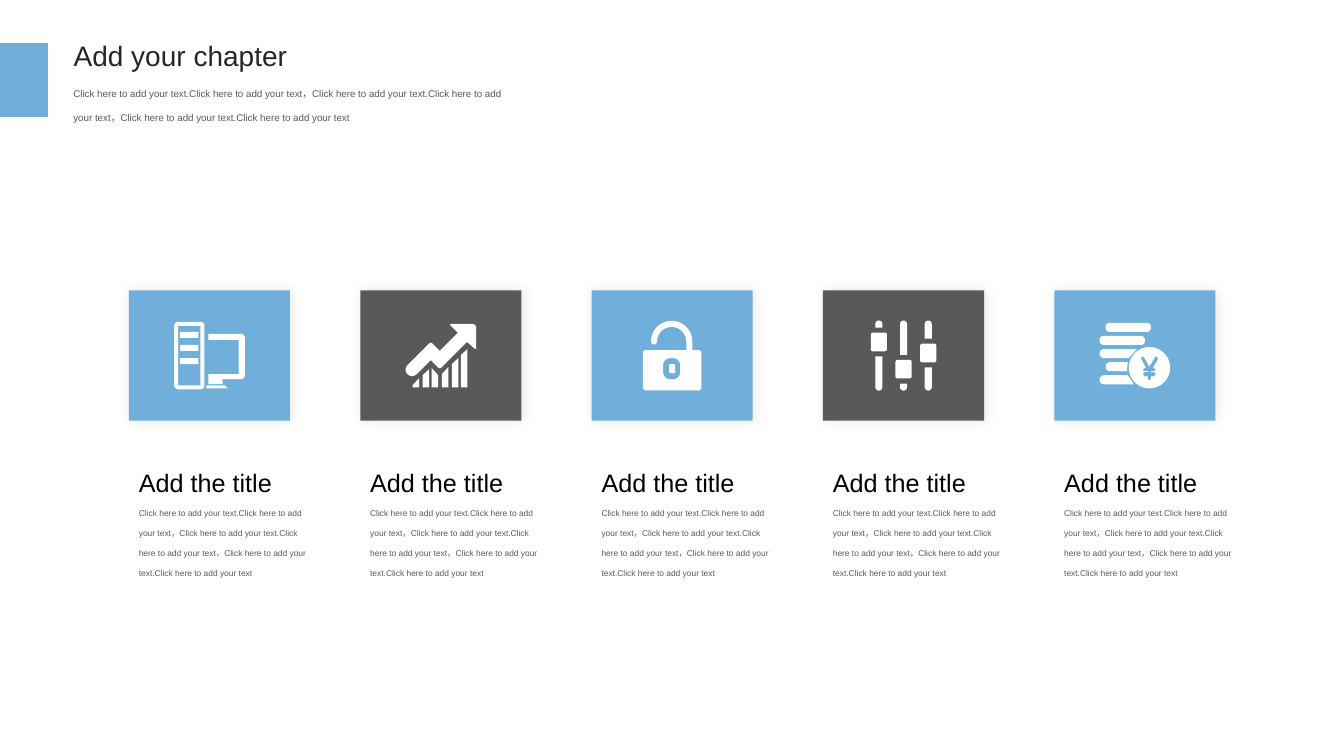
from math import cos, radians, sin

from lxml.etree import SubElement
from pptx import Presentation
from pptx.dml.color import RGBColor
from pptx.enum.shapes import MSO_SHAPE
from pptx.enum.text import MSO_ANCHOR, MSO_AUTO_SIZE, PP_ALIGN
from pptx.oxml.ns import qn
from pptx.util import Cm, Pt

BLUE, GRAY, INK, BLACK, WHITE = "70AFDA", "595959", "262626", "000000", "FFFFFF"
ICON_UNIT = Cm(0.0254)
CLICK = "Click here to add your text"
BLURB = "，".join([f"{CLICK}.{CLICK}"] * 3)


def color(hex_code):
    return RGBColor.from_string(hex_code)


def arc(cx, cy, radius, start, end, steps=16):
    angles = [radians(start + (end - start) * i / steps) for i in range(steps + 1)]
    return [(cx + radius * cos(a), cy + radius * sin(a)) for a in angles]


def box(x, y, width, height, radius=0):
    if not radius:
        return [(x, y), (x + width, y), (x + width, y + height), (x, y + height)]
    left, right = x + radius, x + width - radius
    top, bottom = y + radius, y + height - radius
    corners = [(left, top, 180), (right, top, 270), (right, bottom, 0), (left, bottom, 90)]
    return [point for cx, cy, start in corners
            for point in arc(cx, cy, radius, start, start + 90, 6)]


def computer():
    stand = [(32, 63), (50, 63), (53, 66), (32, 66)]
    screen = [(34, 12), (67, 12), (69, 13), (70, 15), (70, 54), (69, 56), (67, 57),
              (48, 57), (48, 62), (34, 62), (34, 52), (64, 52), (64, 18), (34, 18)]
    drives = [box(6, 10 + 13 * i, 18, 6) for i in range(3)]
    return [stand, screen, *drives, box(4, 4, 22, 59), box(0, 0, 30, 67, 4)]


def growth():
    tops = [(7, 61, 54), (17, 51, 45), (26, 44, 51), (36, 50, 43), (46, 40, 34), (55, 31, 25)]
    bars = [[(x, 63), (x, left), (x + 6.5, right), (x + 6.5, 63)] for x, left, right in tops]
    arrow = [(45, 0), (67, 0), (69, 1), (70, 3), (70, 25), (69, 25), (61, 18),
             (35, 44), (33, 44), (25, 36), *arc(6.5, 45.5, 6.4, 45, 225),
             (24, 19), (26, 19), (34, 27), (52, 9), (44, 1)]
    return [*bars, arrow]


def padlock():
    body = [(49, 29), (56, 29), (58, 31), (58, 67), (56, 69), (2, 69),
            (0, 67), (0, 31), (2, 29), (43, 29)]
    outline = [*arc(28.5, 20.5, 20.5, 180, 360), *body,
               *arc(28.5, 20.5, 14.5, 360, 180), *arc(11, 20.5, 3, 0, 180)]
    return [outline, box(20, 37, 17, 21, 7), box(26, 43, 6, 9, 1)]


def sliders():
    contours = []
    for i, knob in enumerate([12, 39, 23]):
        cx = 8 + 24.5 * i
        left, right = cx - 3.5, cx + 3.5
        contours += [
            [*arc(cx, 3.5, 3.5, 180, 360), (right, knob - 5), (left, knob - 5)],
            box(cx - 8, knob, 16, 18.5, 2),
            [*arc(cx, 66, 3.5, 0, 180), (left, knob + 23.5), (right, knob + 23.5)],
        ]
    return contours


def coins():
    cut_bars = [(0, 26, 37, 29), (6, 39, 28, 27), (0, 52, 28, 34)]
    stack = [[(upper, y), (lower, y + 9), *arc(x + 4.5, y + 4.5, 4.5, 90, 270)]
             for x, y, upper, lower in cut_bars]
    yen = [(56, 33), (55, 34), (51, 41), (49, 43), (47, 39), (44, 34), (42, 33.5),
           (41, 35), (43, 39), (46, 45), (44, 45), (43, 46.5), (44, 48), (48, 48),
           (48, 49), (44, 49), (43, 51), (44, 53), (48, 53), (48, 56), (49.5, 57.5),
           (51, 56), (51, 53), (54, 53), (56, 51), (54, 49), (51, 49), (51, 48),
           (54, 48), (56, 46), (54, 45), (53, 45), (58, 36), (57.5, 34)]
    return [box(6, 0, 45, 9, 4), box(0, 13, 45, 9, 4), *stack,
            arc(49.5, 44.5, 20.5, 0, 360, 48), yen]


class SlideBuilder:
    font = "Arial"

    def __init__(self, slide):
        self.slide = slide

    def fill_text(self, holder, lines):
        frame = holder.text_frame
        frame.text = "\n".join(line[0] for line in lines)
        frame.word_wrap = True
        frame.auto_size = MSO_AUTO_SIZE.SHAPE_TO_FIT_TEXT
        frame.vertical_anchor = MSO_ANCHOR.TOP
        for paragraph, (_, size, ink, spacing) in zip(frame.paragraphs, lines):
            paragraph.alignment = PP_ALIGN.LEFT
            paragraph.line_spacing = spacing
            for run in paragraph.runs:
                run.font.name = self.font
                run.font.size = Pt(size)
                run.font.color.rgb = color(ink)

    def title(self, place, line):
        heading = self.slide.shapes.title
        heading.left, heading.top, heading.width, heading.height = map(Cm, place)
        self.fill_text(heading, [line])

    def text(self, place, lines):
        self.fill_text(self.slide.shapes.add_textbox(*map(Cm, place)), lines)

    def paint(self, shape, fill):
        shape.shadow.inherit = False
        shape.fill.solid()
        shape.fill.fore_color.rgb = color(fill)
        shape.line.fill.background()

    def rectangle(self, place, fill, shadow=False):
        panel = self.slide.shapes.add_shape(MSO_SHAPE.RECTANGLE, *map(Cm, place))
        self.paint(panel, fill)
        if shadow:
            effects = panel._element.spPr.find(qn("a:effectLst"))
            outer = SubElement(effects, qn("a:outerShdw"), blurRad=str(Pt(9)),
                               dist=str(Pt(1)), dir="0", algn="ctr", rotWithShape="0")
            tint = SubElement(outer, qn("a:srgbClr"), val=BLACK)
            SubElement(tint, qn("a:alpha"), val="9000")

    def icon(self, center_x, center_y, contours):
        xs, ys = zip(*(point for contour in contours for point in contour))
        left = Cm(center_x) - (min(xs) + max(xs)) / 2 * ICON_UNIT
        top = Cm(center_y) - (min(ys) + max(ys)) / 2 * ICON_UNIT
        placed = [[(left + x * ICON_UNIT, top + y * ICON_UNIT) for x, y in contour]
                  for contour in contours]
        builder = self.slide.shapes.build_freeform(*placed[0][0])
        for i, (start, *rest) in enumerate(placed):
            if i:
                builder.move_to(*start)
            builder.add_line_segments(rest, close=True)
        self.paint(builder.convert_to_shape(), WHITE)


def main():
    deck = Presentation()
    deck.slide_width, deck.slide_height = Cm(33.87), Cm(19.05)
    page = SlideBuilder(deck.slides.add_slide(deck.slide_layouts[5]))

    page.title((1.6, 0.84, 6.2, 1.12), ("Add your chapter", 20, INK, 1.0))
    page.text((1.6, 1.8, 11.38, 1.37), [(BLURB, 7, GRAY, 2.0)])
    page.rectangle((0, 1.09, 1.21, 1.86), BLUE)

    card_left, card_top, card_width, card_height, pitch = 3.25, 7.32, 4.06, 3.28, 5.83
    for i, draw in enumerate([computer, growth, padlock, sliders, coins]):
        left = card_left + i * pitch
        page.rectangle((left, card_top, card_width, card_height),
                       GRAY if i % 2 else BLUE, shadow=True)
        page.icon(left + card_width / 2, card_top + card_height / 2, draw())
        page.text((left, 11.66, 4.88, 3.07),
                  [("Add the title", 18, BLACK, 1.0), (BLURB, 6, GRAY, 2.0)])

    deck.save("out.pptx")


if __name__ == "__main__":
    main()
